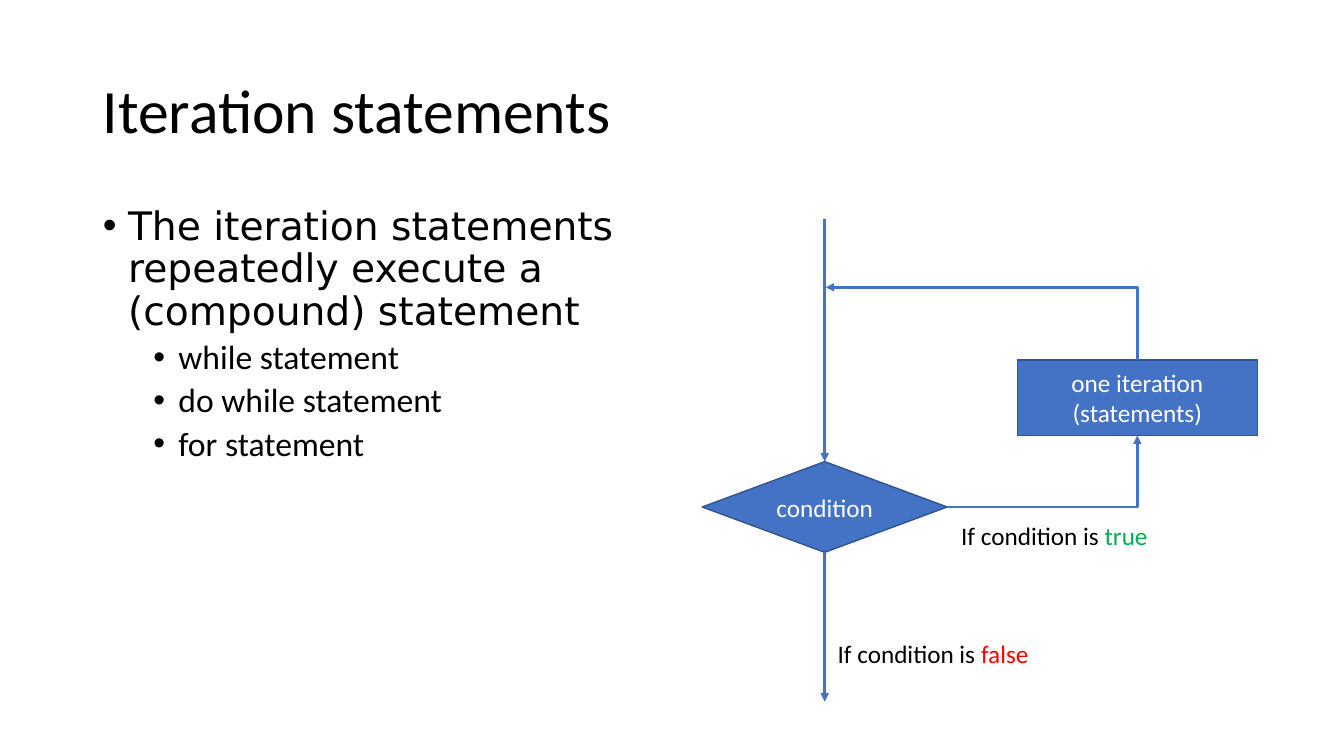
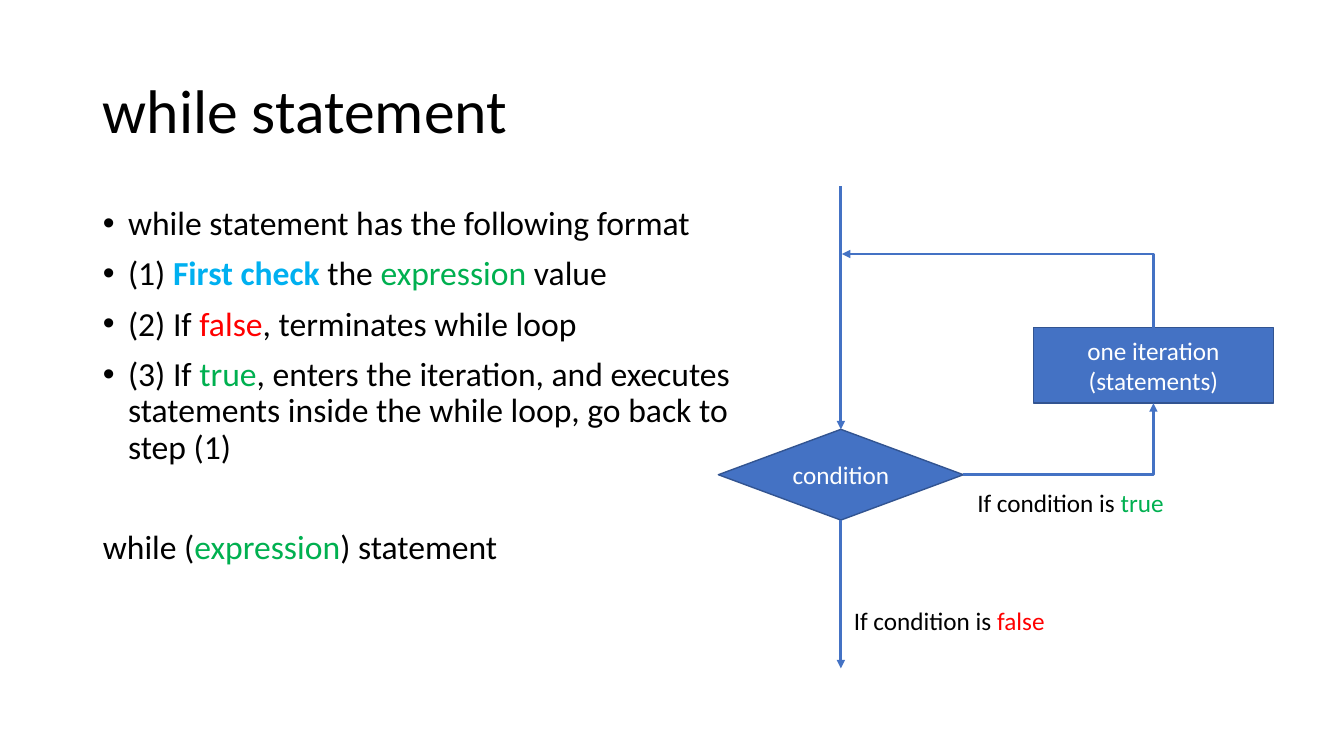
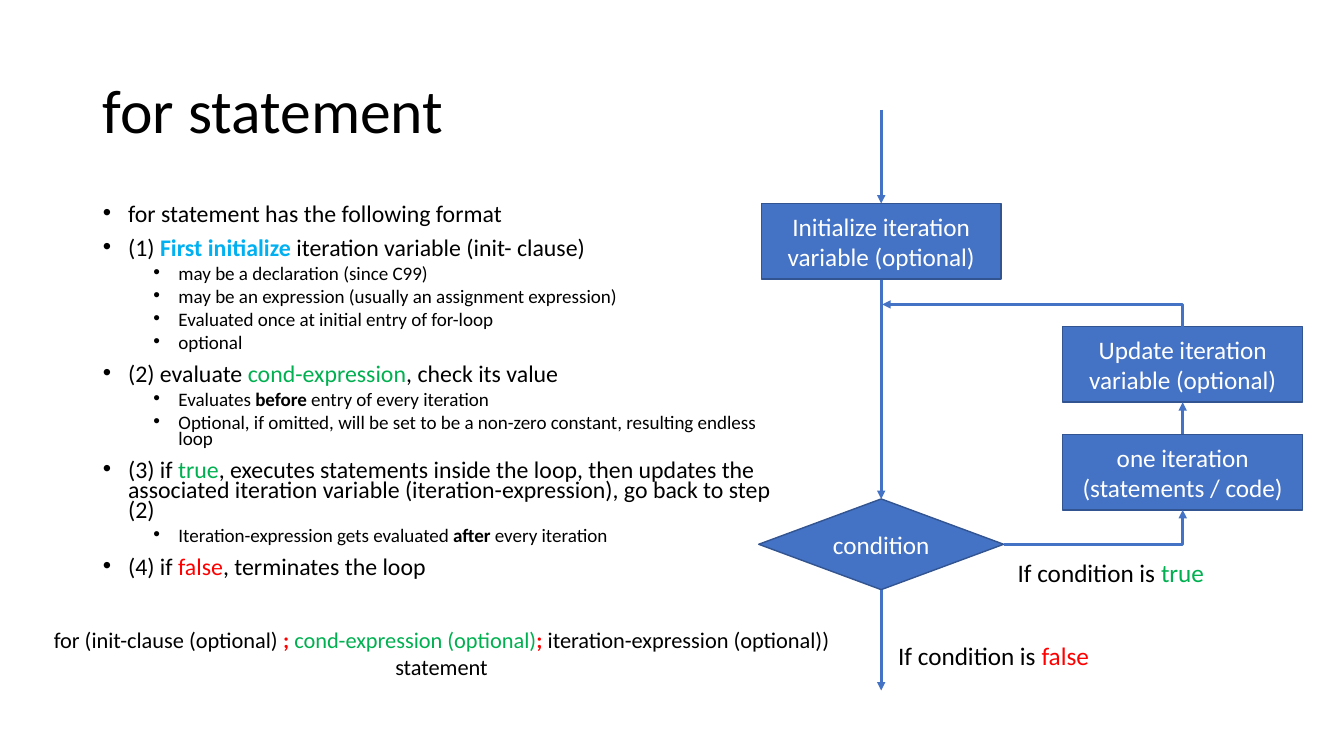
import dataclasses
import typing

import lxml.etree
import pptx
import pptx.dml.color
import pptx.enum.shapes
import pptx.enum.text
import pptx.oxml.ns
import pptx.util

Inches = pptx.util.Inches
Pt = pptx.util.Pt
RGB = pptx.dml.color.RGBColor
Align = pptx.enum.text.PP_ALIGN
Anchor = pptx.enum.text.MSO_ANCHOR
Fit = pptx.enum.text.MSO_AUTO_SIZE
Shape = pptx.enum.shapes.MSO_SHAPE
Link = pptx.enum.shapes.MSO_CONNECTOR
qn = pptx.oxml.ns.qn


# Theme: colours, fonts and type sizes
@dataclasses.dataclass(frozen=True)
class Theme:
    black: RGB = RGB.from_string("000000")
    white: RGB = RGB.from_string("FFFFFF")
    blue: RGB = RGB.from_string("4472C4")
    edge: RGB = RGB.from_string("325491")
    sky: RGB = RGB.from_string("00B0F0")
    green: RGB = RGB.from_string("00B050")
    red: RGB = RGB.from_string("FF0000")
    font: str = "Calibri"
    wide: str = "DejaVu Sans"
    title: float = 44
    lead: float = 28
    text: float = 24
    label: float = 18
    small: float = 17
    code: float = 16
    tiny: float = 13.6


THEME = Theme()


# Content types
class Span(typing.NamedTuple):
    text: str
    color: RGB = THEME.black
    bold: bool = False


@dataclasses.dataclass(frozen=True)
class Item:
    spans: list[Span]
    size: float = THEME.text
    level: int = 0
    font: str = THEME.font
    bullet: bool = True
    extra: float = 0


@dataclasses.dataclass(frozen=True)
class Loop:
    x: float
    start: float
    join: float
    test: float
    step: float
    end: float
    text: str = "one iteration (statements)"
    reach: float = 3.1
    no_x: float = 0.03
    no_y: float = 0.8
    update: float | None = None


BOX_W, BOX_H = 2.38, 0.75
TEST_W, TEST_H = 2.43, 0.9


def green(text: str) -> Span:
    return Span(text, THEME.green)


def red(text: str, bold: bool = False) -> Span:
    return Span(text, THEME.red, bold)


def sub(*spans: Span) -> Item:
    return Item(list(spans), THEME.tiny, 1)


def point(*spans: Span) -> Item:
    return Item(list(spans), THEME.small)


# Text
def put_spans(para, spans: list[Span], size: float, font: str = THEME.font) -> None:
    for span in spans:
        run = para.add_run()
        run.text = span.text
        run.font.name = font
        run.font.size = Pt(size)
        run.font.bold = span.bold
        run.font.color.rgb = span.color


def set_bullet(para, item: Item) -> None:
    props = para._p.get_or_add_pPr()
    left = 0.25 + 0.5 * item.level if item.bullet else 0
    props.set("marL", str(Inches(left)))
    props.set("indent", str(Inches(-0.25 if item.bullet else 0)))
    if item.bullet:
        face = lxml.etree.SubElement(props, qn("a:buFont"))
        face.set("typeface", "Arial")
        lxml.etree.SubElement(props, qn("a:buChar")).set("char", "•")
    else:
        lxml.etree.SubElement(props, qn("a:buNone"))


def place(shape, left: float, top: float, width: float, height: float) -> None:
    shape.left, shape.top = Inches(left), Inches(top)
    shape.width, shape.height = Inches(width), Inches(height)


def add_page(deck, title: str, items: list[Item], width: float,
             height: float = 4.76, pitch: float = 0.9):
    slide = deck.slides.add_slide(deck.slide_layouts[1])
    head, body = slide.shapes.title, slide.placeholders[1]

    place(head, 0.92, 0.4, 11.5, 1.45)
    head.text_frame.auto_size = Fit.NONE
    head.text_frame.vertical_anchor = Anchor.MIDDLE
    para = head.text_frame.paragraphs[0]
    para.alignment = Align.LEFT
    para.line_spacing = 0.9
    put_spans(para, [Span(title)], THEME.title)

    place(body, 0.92, 2, width, height)
    frame = body.text_frame
    frame.auto_size = Fit.NONE
    for i, item in enumerate(items):
        para = frame.add_paragraph() if i else frame.paragraphs[0]
        para.level = item.level
        para.line_spacing = pitch
        para.space_before = Pt((5 if item.level else 10) + item.extra)
        para.space_after = Pt(0)
        set_bullet(para, item)
        put_spans(para, item.spans, item.size, item.font)
    return slide


def add_label(slide, left: float, top: float, width: float, height: float,
              spans: list[Span], size: float = THEME.label,
              align: Align = Align.LEFT) -> None:
    box = slide.shapes.add_textbox(
        Inches(left), Inches(top), Inches(width), Inches(height))
    box.text_frame.word_wrap = True
    box.text_frame.auto_size = Fit.SHAPE_TO_FIT_TEXT
    para = box.text_frame.paragraphs[0]
    para.alignment = align
    put_spans(para, spans, size)


# Flow chart parts
def add_node(slide, kind: Shape, mid: float, top: float, width: float,
             height: float, text: str):
    node = slide.shapes.add_shape(
        kind, Inches(mid - width / 2), Inches(top), Inches(width), Inches(height))
    node.shadow.inherit = False
    node.fill.solid()
    node.fill.fore_color.rgb = THEME.blue
    node.line.color.rgb = THEME.edge
    node.line.width = Pt(1)
    node.text_frame.word_wrap = True
    node.text_frame.vertical_anchor = Anchor.MIDDLE
    para = node.text_frame.paragraphs[0]
    para.alignment = Align.CENTER
    put_spans(para, [Span(text, THEME.white)], THEME.label)
    return node


def add_box(slide, mid: float, top: float, text: str):
    return add_node(slide, Shape.RECTANGLE, mid, top, BOX_W, BOX_H, text)


def add_arrow(slide, x1: float, y1: float, x2: float, y2: float,
              kind: Link = Link.STRAIGHT, tip: str = "tailEnd"):
    arrow = slide.shapes.add_connector(
        kind, Inches(x1), Inches(y1), Inches(x2), Inches(y2))
    arrow.line.color.rgb = THEME.blue
    arrow.line.width = Pt(2)
    props = arrow.element.spPr
    end = lxml.etree.SubElement(props.find(qn("a:ln")), qn(f"a:{tip}"))
    end.set("type", "triangle")
    lxml.etree.SubElement(props, qn("a:effectLst"))
    if kind == Link.ELBOW:
        props.find(qn("a:prstGeom")).set("prst", "bentConnector2")
    return arrow


def draw_loop(slide, loop: Loop) -> None:
    side = loop.x + loop.reach
    right = loop.x + TEST_W / 2
    middle = loop.test + TEST_H / 2
    bottom = loop.test + TEST_H

    # Entry, condition and body
    add_arrow(slide, loop.x, loop.start, loop.x, loop.test)
    test = add_node(slide, Shape.DIAMOND, loop.x, loop.test, TEST_W, TEST_H,
                    "condition")
    step = last = add_box(slide, side, loop.step, loop.text)
    top = loop.step
    if loop.update is not None:
        top = loop.update
        last = add_box(slide, side, top, "Update iteration variable (optional)")
        add_arrow(slide, side, loop.step, side, top + BOX_H)

    # Way into the body, way back and exit
    enter = add_arrow(slide, right, middle, side, loop.step + BOX_H, Link.ELBOW)
    enter.begin_connect(test, 3)
    enter.end_connect(step, 2)
    back = add_arrow(slide, loop.x + 0.01, loop.join, side, top, Link.ELBOW,
                     "headEnd")
    back.end_connect(last, 0)
    add_arrow(slide, loop.x, bottom, loop.x, loop.end)

    # Branch labels
    lead = Span("If condition is ")
    add_label(slide, right + 0.04, middle + 0.08, 2.24, 0.4, [lead, green("true")])
    add_label(slide, loop.x + loop.no_x, bottom + loop.no_y, 2.24, 0.4,
              [lead, red("false")])


# Slides
def add_intro(deck) -> None:
    items = [Item([Span("The iteration statements repeatedly execute a "
                        "(compound) statement")], THEME.lead, font=THEME.wide)]
    items += [Item([Span(f"{word} statement")], level=1)
              for word in ("while", "do while", "for")]
    slide = add_page(deck, "Iteration statements", items, 6.57)
    draw_loop(slide, Loop(8.18, 2.17, 2.85, 4.58, 3.57, 6.96))


def add_while(deck) -> None:
    items = [
        Item([Span("while statement has the following format")]),
        Item([Span("(1) "), Span("First check ", THEME.sky, True), Span("the "),
              green("expression"), Span(" value")]),
        Item([Span("(2) If "), red("false"), Span(", terminates while loop")]),
        Item([Span("(3) If "), green("true"),
              Span(", enters the iteration, and executes statements inside "
                   "the while loop, go back to step (1)")]),
        Item([Span("while ("), green("expression"), Span(") statement")],
             bullet=False, extra=36),
    ]
    slide = add_page(deck, "while statement", items, 6.67)
    draw_loop(slide, Loop(8.34, 1.85, 2.52, 4.26, 3.25, 6.63))


def add_for(deck) -> None:
    items = [
        point(Span("for statement has the following format")),
        point(Span("(1) "), Span("First initialize ", THEME.sky, True),
              Span("iteration variable (init- clause)")),
        sub(Span("may be a declaration (since C99)")),
        sub(Span("may be an expression (usually an assignment expression)")),
        sub(Span("Evaluated once at initial entry of for-loop")),
        sub(Span("optional")),
        point(Span("(2) evaluate "), green("cond-expression"),
              Span(", check its value")),
        sub(Span("Evaluates "), Span("before", bold=True),
            Span(" entry of every iteration")),
        sub(Span("Optional, if omitted, will be set to be a non-zero constant, "
                 "resulting endless loop")),
        point(Span("(3) if "), green("true"),
              Span(", executes statements inside the loop, then updates the "
                   "associated iteration variable (iteration-expression), "
                   "go back to step (2)")),
        sub(Span("Iteration-expression gets evaluated "),
            Span("after", bold=True), Span(" every iteration")),
        point(Span("(4) if "), red("false"), Span(", terminates the loop")),
    ]
    slide = add_page(deck, "for statement", items, 6.83, 3.85, 0.7)
    loop = Loop(8.74, 2.77, 3.02, 4.95, 4.31, 6.85,
                "one iteration (statements / code)", 2.99, 0.07, 0.45, 3.24)
    draw_loop(slide, loop)
    first = loop.start - BOX_H
    add_box(slide, loop.x, first, "Initialize iteration variable (optional)")
    add_arrow(slide, loop.x, 1.09, loop.x, first)
    add_label(slide, 0.35, 6.16, 8.06, 0.64,
              [Span("for (init-clause (optional) "), red("; ", True),
               green("cond-expression (optional)"), red(";", True),
               Span(" iteration-expression (optional)) statement")],
              THEME.code, Align.CENTER)


def main() -> None:
    deck = pptx.Presentation()
    deck.slide_width, deck.slide_height = Inches(13.33), Inches(7.5)
    add_intro(deck)
    add_while(deck)
    add_for(deck)
    deck.save("out.pptx")


if __name__ == "__main__":
    main()
